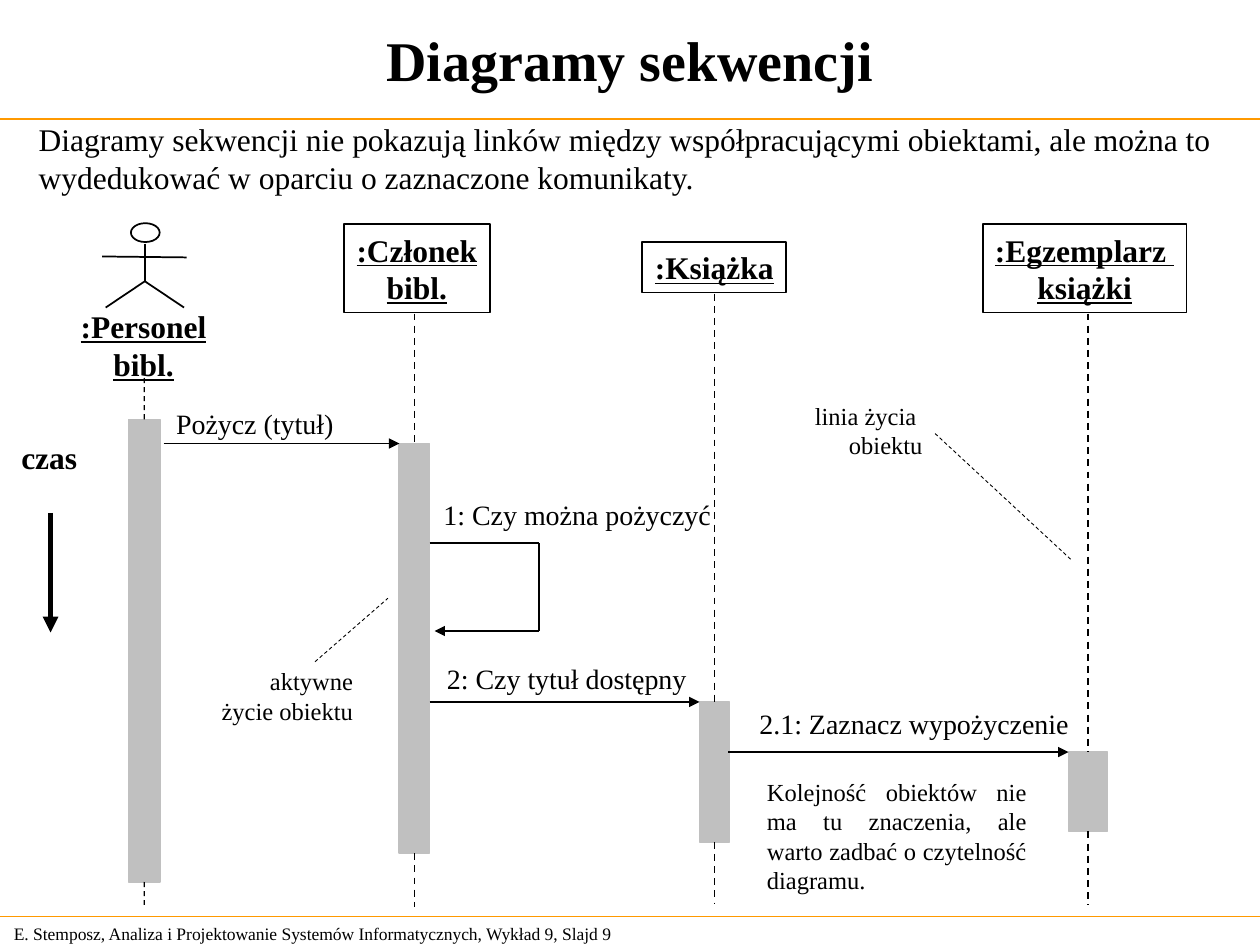
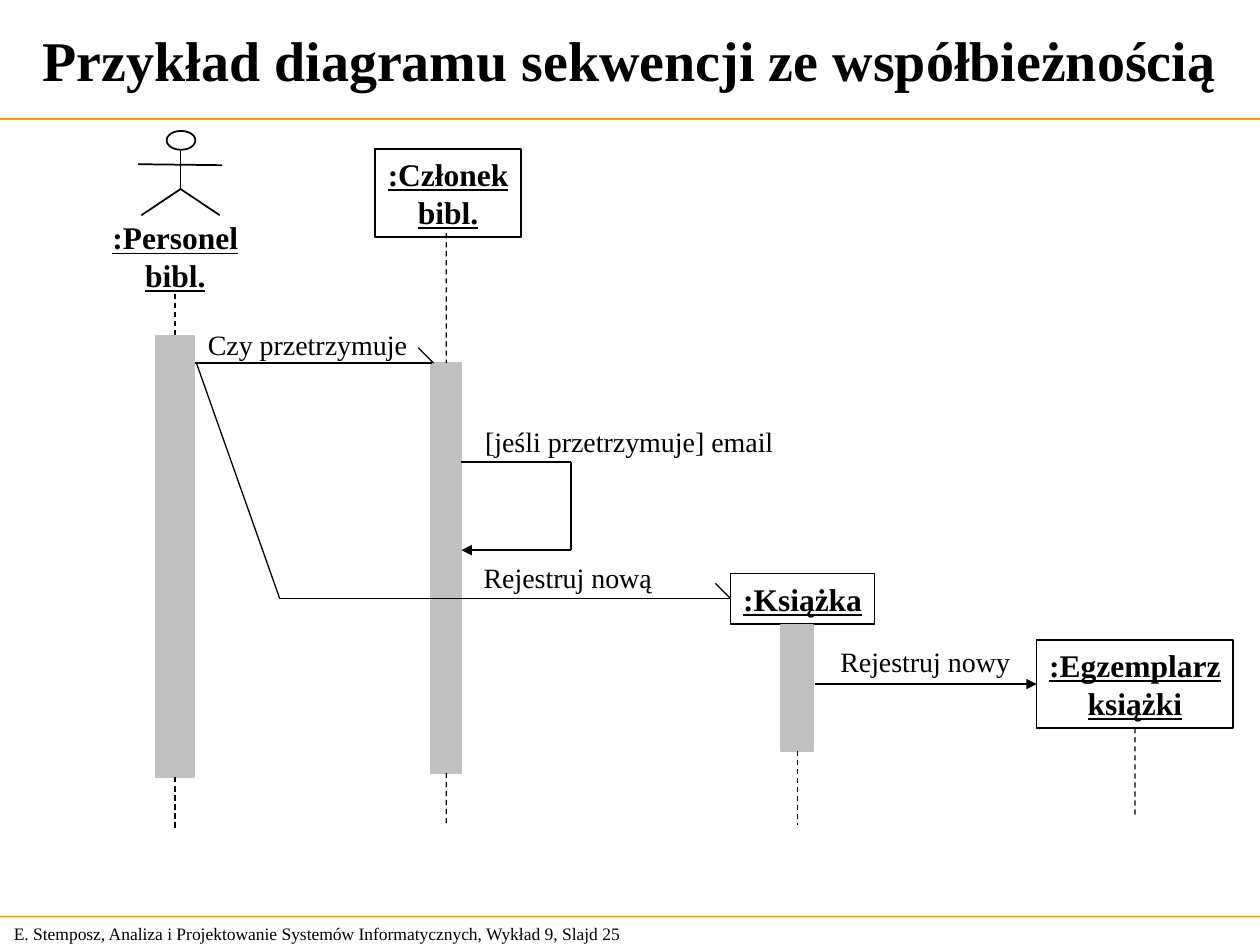
from lxml import etree
from pptx import Presentation
from pptx.dml.color import RGBColor
from pptx.enum.dml import MSO_LINE
from pptx.enum.shapes import MSO_CONNECTOR, MSO_SHAPE
from pptx.enum.text import MSO_ANCHOR, PP_ALIGN
from pptx.oxml.ns import qn
from pptx.util import Cm, Pt

STRAIGHT = MSO_CONNECTOR.STRAIGHT
RECTANGLE, OVAL = MSO_SHAPE.RECTANGLE, MSO_SHAPE.OVAL
DASH = MSO_LINE.DASH
TOP, MIDDLE = MSO_ANCHOR.TOP, MSO_ANCHOR.MIDDLE
LEFT, CENTER, RIGHT, JUSTIFY = PP_ALIGN.LEFT, PP_ALIGN.CENTER, PP_ALIGN.RIGHT, PP_ALIGN.JUSTIFY
TOP_SIDE, LEFT_SIDE, BOTTOM_SIDE = 0, 1, 2

COLORS = {"ink": "000000", "rule": "FF9900", "bar": "C0C0C0"}
FONT = "Times New Roman"
SLIDE_WIDTH, SLIDE_HEIGHT = 25.4, 19.05
FOOTER = "E. Stemposz, Analiza i Projektowanie Systemów Informatycznych, Wykład 9, Slajd {}"
RULE_HEIGHTS = (2.4, 18.48)

TEXT_STYLES = {
    "title": dict(size=32, bold=True, align=CENTER, anchor=MIDDLE),
    "footer": dict(size=10, anchor=MIDDLE),
    "object": dict(size=18, bold=True, underline=True, align=CENTER),
    "time": dict(size=18, bold=True),
    "intro": dict(size=18),
    "message": dict(size=16),
    "note": dict(size=14, align=RIGHT),
    "remark": dict(size=14, align=JUSTIFY),
}
SLACK = 0.6
SLACK_BEFORE = {LEFT: 0, CENTER: SLACK / 2, RIGHT: SLACK}
EXACT_WIDTH = ("title", "footer", "remark")
LINE_STYLES = {
    "rule": dict(width=0.75, color="rule"),
    "plain": dict(width=1),
    "thin": dict(width=0.75),
    "message": dict(width=1, arrow=True),
    "thin message": dict(width=0.75, arrow=True),
    "time": dict(width=3, arrow=True),
    "lifeline": dict(width=1, dashed=True),
    "thin lifeline": dict(width=0.75, dashed=True),
    "pointer": dict(width=0.5, dashed=True),
}

HEAD_SIZE = (0.58, 0.38)
LIMBS = [
    (0.28, 0.41, 0.28, 1.19),
    (-0.58, 0.67, 1.12, 0.69),
    (0.28, 1.17, 1.07, 1.7),
    (0.28, 1.17, -0.51, 1.7),
]
SELF_CALL_WIDTH, SELF_CALL_DROP = 2.21, 1.77
HALF_HEAD = 0.31

SLIDES = [
    {
        "title": "Diagramy sekwencji",
        "number": 9,
        "actor": (2.64, 4.5),
        "boxes": {
            "member": (":Członek\nbibl.", 6.93, 4.52, 2.95, 1.78, 1),
            "book": (":Książka", 12.95, 4.88, 2.9, 1.02, 1),
            "copy": (":Egzemplarz \nksiążki", 19.81, 4.52, 4.11, 1.78, 1),
        },
        "bars": [
            (2.59, 8.46, 0.64, 9.32, 7.62, 18.24, "thin lifeline"),
            (8.05, 8.94, 0.61, 8.26, 6.32, 18.29, "lifeline"),
            (14.1, 14.15, 0.61, 2.82, 5.92, 18.21, "lifeline"),
            (21.54, 15.16, 0.79, 1.6, 6.32, 18.24, "lifeline"),
        ],
        "texts": [
            (":Personel\nbibl.", 1.37, 6.07, 3.05, 1.78, "object"),
            ("czas", 0.18, 8.71, 1.63, 1.02, "time"),
            ("Pożycz (tytuł)", 3.3, 8.08, 3.68, 0.94, "message"),
            ("1: Czy można pożyczyć", 8.69, 9.91, 5.89, 0.94, "message"),
            ("2: Czy tytuł dostępny", 8.76, 13.21, 5.33, 0.94, "message"),
            ("2.1: Zaznacz wypożyczenie", 15.06, 14.12, 6.73, 0.94, "message"),
            ("linia życia \nobiektu", 16.18, 7.95, 2.67, 1.45, "note"),
            ("aktywne\nżycie obiektu", 4.22, 13.31, 3.15, 1.45, "note"),
            ("Kolejność obiektów nie ma tu znaczenia, ale warto zadbać o czytelność diagramu.",
             15.21, 15.54, 5.74, 2.64, "remark"),
            ("Diagramy sekwencji nie pokazują linków między współpracującymi obiektami, ale można to\n"
             "wydedukować w oparciu o zaznaczone komunikaty.", 0.53, 2.29, 24.16, 1.78, "intro"),
        ],
        "self_call": (8.66, 10.95, 8.76),
        "lines": [
            (3.3, 8.94, 8.05, 8.94, "message"),
            (8.66, 14.15, 14.1, 14.15, "message"),
            (14.68, 15.16, 21.54, 15.16, "message"),
            (1.02, 10.34, 1.02, 12.75, "time"),
            (18.85, 8.74, 21.59, 11.28, "pointer"),
            (6.35, 13.34, 7.82, 12.06, "pointer"),
        ],
        "half_heads": [],
        "calls_to_boxes": [],
        "box_lifelines": [],
    },
    {
        "title": "Przykład diagramu sekwencji ze współbieżnością",
        "number": 25,
        "actor": (3.36, 2.64),
        "boxes": {
            "member": (":Członek\nbibl.", 7.56, 3, 2.95, 1.78, 1),
            "book": (":Książka", 14.73, 11.56, 2.9, 1.02, 0.75),
            "copy": (":Egzemplarz\nksiążki", 20.9, 12.9, 3.96, 1.78, 0.75),
        },
        "bars": [
            (3.15, 6.78, 0.76, 8.89, 5.92, 16.71, "thin lifeline"),
            (8.69, 7.32, 0.61, 8.26, 4.7, 16.66, "thin lifeline"),
            (15.75, 12.6, 0.64, 2.54, None, 16.64, "thin lifeline"),
        ],
        "texts": [
            (":Personel\nbibl.", 2.01, 4.28, 3.05, 1.78, "object"),
            ("Czy przetrzymuje", 3.94, 6.48, 4.52, 0.94, "message"),
            ("[jeśli przetrzymuje] email", 9.53, 8.43, 6.32, 0.94, "message"),
            ("Rejestruj nową", 9.5, 11.18, 3.89, 0.94, "message"),
            ("Rejestruj nowy", 16.69, 12.87, 3.94, 0.94, "message"),
        ],
        "self_call": (9.3, 9.32, 9.3),
        "lines": [
            (3.94, 7.32, 8.71, 7.32, "plain"),
            (3.96, 7.32, 5.64, 12.07, "thin"),
        ],
        "half_heads": [(8.74, 7.32), (14.73, 12.07)],
        "calls_to_boxes": [(5.64, "book", "thin"), (16.43, "copy", "thin message")],
        "box_lifelines": [("copy", 16.46)],
    },
]


def rgb(name):
    return RGBColor.from_string(COLORS[name])


def write(shape, text, size, bold=False, underline=False, align=LEFT, anchor=TOP, wrap=True):
    frame = shape.text_frame
    frame.text = text
    frame.word_wrap = wrap
    frame.vertical_anchor = anchor
    for paragraph in frame.paragraphs:
        paragraph.alignment = align
        font = paragraph.font
        font.name, font.size = FONT, Pt(size)
        font.bold, font.underline = bold, underline
        font.color.rgb = rgb("ink")


def add_text(slide, text, left, top, width, height, style):
    look = TEXT_STYLES[style]
    if style not in EXACT_WIDTH:
        left -= SLACK_BEFORE[look.get("align", LEFT)]
        width += SLACK
    box = slide.shapes.add_textbox(Cm(left), Cm(top), Cm(width), Cm(height))
    write(box, text, **look)


def add_outline(shapes, kind, left, top, width, height, line_width=1, color="ink", fill=None):
    shape = shapes.add_shape(kind, Cm(left), Cm(top), Cm(width), Cm(height))
    shape.shadow.inherit = False
    if fill:
        shape.fill.solid()
        shape.fill.fore_color.rgb = rgb(fill)
    else:
        shape.fill.background()
    shape.line.color.rgb = rgb(color)
    shape.line.width = Pt(line_width)
    return shape


def add_line(shapes, x1, y1, x2, y2, style):
    look = LINE_STYLES[style]
    connector = shapes.add_connector(STRAIGHT, Cm(x1), Cm(y1), Cm(x2), Cm(y2))
    connector.line.color.rgb = rgb(look.get("color", "ink"))
    connector.line.width = Pt(look["width"])
    if look.get("dashed"):
        connector.line.dash_style = DASH
    properties = connector._element.spPr
    if look.get("arrow"):
        etree.SubElement(properties.find(qn("a:ln")), qn("a:tailEnd"), type="triangle")
    etree.SubElement(properties, qn("a:effectLst"))
    return connector


def add_frame(slide, title, number):
    add_text(slide, FOOTER.format(number), 0.03, 18.47, 13.31, 0.69, "footer")
    for height in RULE_HEIGHTS:
        add_line(slide.shapes, 0, height, SLIDE_WIDTH, height, "rule")
    add_text(slide, title, 0.1, 0.12, 25.2, 2.16, "title")


def add_actor(slide, left, top):
    shapes = slide.shapes.add_group_shape().shapes
    add_outline(shapes, OVAL, left, top, *HEAD_SIZE)
    for x1, y1, x2, y2 in LIMBS:
        add_line(shapes, left + x1, top + y1, left + x2, top + y2, "plain")


def add_bar(slide, left, top, width, height, life_start, life_end, style):
    bar = add_outline(slide.shapes, RECTANGLE, left, top, width, height, color="bar", fill="bar")
    middle = left + width / 2
    if life_start is not None:
        before = add_line(slide.shapes, middle, life_start, middle, top, style)
        before.end_connect(bar, TOP_SIDE)
    after = add_line(slide.shapes, middle, top + height, middle, life_end, style)
    after.begin_connect(bar, BOTTOM_SIDE)


def add_self_call(slide, left, top, return_x):
    right, bottom = left + SELF_CALL_WIDTH, top + SELF_CALL_DROP
    add_line(slide.shapes, left, top, right, top, "plain")
    add_line(slide.shapes, right, top, right, bottom, "plain")
    add_line(slide.shapes, right, bottom, return_x, bottom, "message")


def add_diagram(slide, content):
    boxes = {}
    for name, (text, left, top, width, height, line_width) in content["boxes"].items():
        boxes[name] = add_outline(slide.shapes, RECTANGLE, left, top, width, height, line_width)
        write(boxes[name], text, anchor=MIDDLE, wrap=False, **TEXT_STYLES["object"])
    for bar in content["bars"]:
        add_bar(slide, *bar)
    add_self_call(slide, *content["self_call"])
    for line in content["lines"]:
        add_line(slide.shapes, *line)
    for x, y in content["half_heads"]:
        add_line(slide.shapes, x - HALF_HEAD, y - HALF_HEAD, x, y, "thin")
    for start, name, style in content["calls_to_boxes"]:
        _, left, top, _, height, _ = content["boxes"][name]
        middle = top + height / 2
        call = add_line(slide.shapes, start, middle, left, middle, style)
        call.end_connect(boxes[name], LEFT_SIDE)
    for name, life_end in content["box_lifelines"]:
        _, left, top, width, height, _ = content["boxes"][name]
        middle = left + width / 2
        lifeline = add_line(slide.shapes, middle, top + height, middle, life_end, "thin lifeline")
        lifeline.begin_connect(boxes[name], BOTTOM_SIDE)
    for text in content["texts"]:
        add_text(slide, *text)
    add_actor(slide, *content["actor"])


def main():
    presentation = Presentation()
    presentation.slide_width, presentation.slide_height = Cm(SLIDE_WIDTH), Cm(SLIDE_HEIGHT)
    blank = presentation.slide_layouts[6]
    for content in SLIDES:
        slide = presentation.slides.add_slide(blank)
        add_frame(slide, content["title"], content["number"])
        add_diagram(slide, content)
    presentation.save("out.pptx")


if __name__ == "__main__":
    main()
